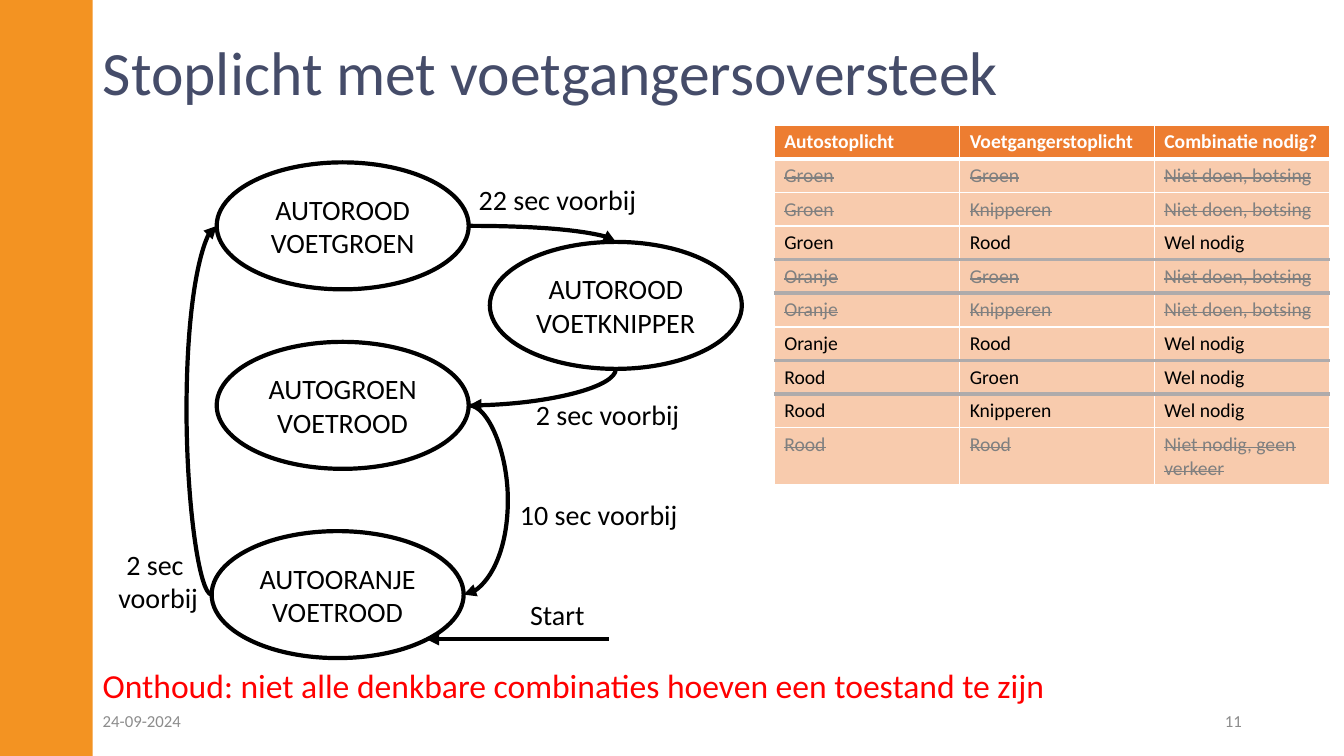
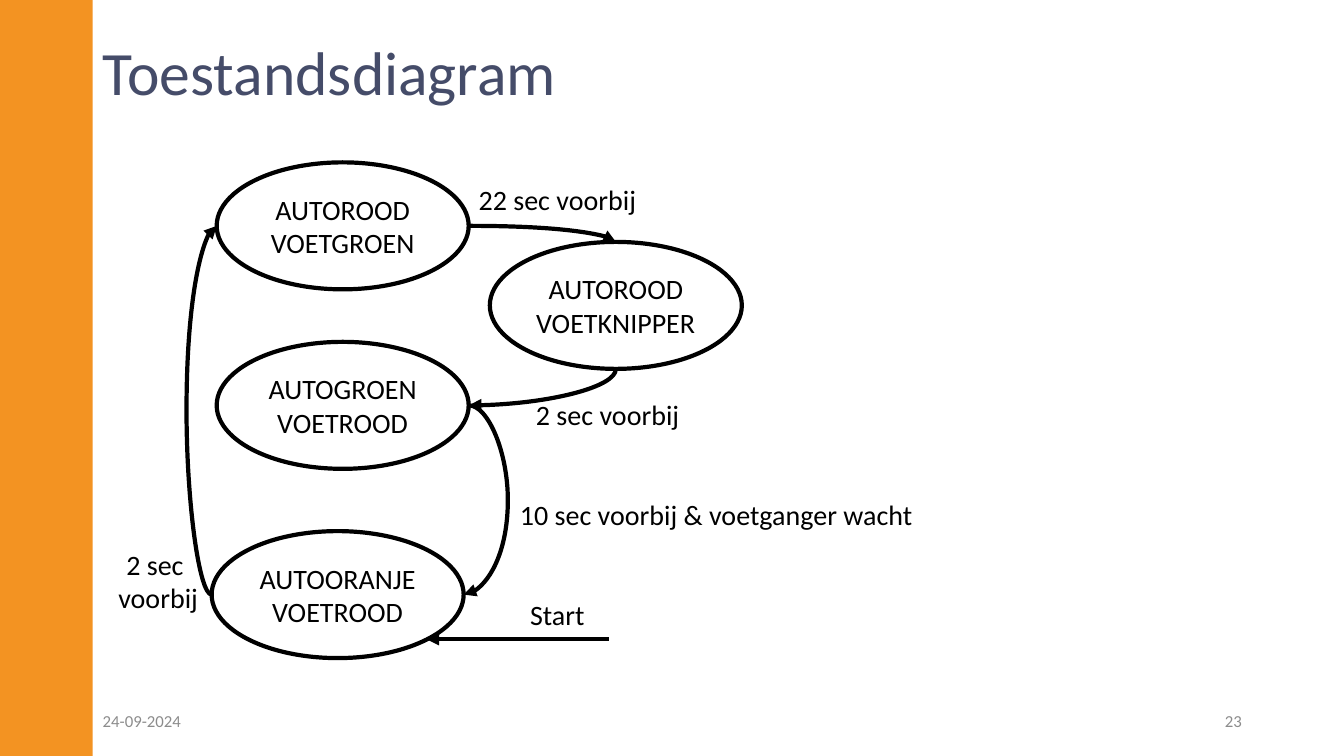
"""Build two slides about the state diagram of a pedestrian traffic light."""

import dataclasses
import math

import lxml.etree
import pptx
import pptx.dml.color
import pptx.enum.shapes
import pptx.enum.text
import pptx.oxml.ns
import pptx.shapes.autoshape
import pptx.shapes.connector
import pptx.slide
import pptx.table
import pptx.text.text
import pptx.util

Pt = pptx.util.Pt
RGBColor = pptx.dml.color.RGBColor
Align = pptx.enum.text.PP_ALIGN
Anchor = pptx.enum.text.MSO_ANCHOR
ShapeKind = pptx.enum.shapes.MSO_SHAPE
ConnectorKind = pptx.enum.shapes.MSO_CONNECTOR
qn = pptx.oxml.ns.qn

FONT = "Calibri"
BLACK = RGBColor(0x00, 0x00, 0x00)
WHITE = RGBColor(0xFF, 0xFF, 0xFF)
RED = RGBColor(0xFF, 0x00, 0x00)
BAND = RGBColor(0xF3, 0x93, 0x22)
TITLE = RGBColor(0x45, 0x4C, 0x69)
FOOTER = RGBColor(0x8C, 0x8C, 0x8C)
HEADER_FILL = RGBColor(0xED, 0x7D, 0x31)
BODY_FILL = RGBColor(0xF8, 0xCB, 0xAD)
STRUCK = RGBColor(0x80, 0x80, 0x80)
DIVIDER = RGBColor(0xAF, 0xAB, 0xAB)

SLIDE_WIDTH, SLIDE_HEIGHT = 960, 540
MARGIN = 66.25
STATE_WIDTH, STATE_HEIGHT = 180, 90.7
LINE_WIDTH = 3
TABLE_LEFT, TABLE_TOP = 553, 89.3
COLUMN_WIDTHS = (132.5, 139, 125.3)
ROW_HEIGHT = 24
NEEDED = "Wel nodig"
CRASH = "Niet doen, botsing"
COMBINATIONS = (
    ("Autostoplicht", "Voetgangerstoplicht", "Combinatie nodig?"),
    ("Groen", "Groen", CRASH),
    ("Groen", "Knipperen", CRASH),
    ("Groen", "Rood", NEEDED),
    ("Oranje", "Groen", CRASH),
    ("Oranje", "Knipperen", CRASH),
    ("Oranje", "Rood", NEEDED),
    ("Rood", "Groen", NEEDED),
    ("Rood", "Knipperen", NEEDED),
    ("Rood", "Rood", "Niet nodig, geen verkeer"),
)
DIVIDED_ROWS = (3, 4, 6, 7)


@dataclasses.dataclass(frozen=True)
class State:
    """An ellipse that stands for one state."""

    lines: tuple[str, ...]
    left: float
    top: float

    def site(self, index: int) -> tuple[float, float]:
        """Return the point of an ellipse connection site."""
        angle = math.radians(-90 - 45 * index)
        return (
            self.left + STATE_WIDTH / 2 * (1 + math.cos(angle)),
            self.top + STATE_HEIGHT / 2 * (1 + math.sin(angle)),
        )


@dataclasses.dataclass(frozen=True)
class Transition:
    """A curved arrow between the connection sites of two states."""

    source: str
    source_site: int
    target: str
    target_site: int
    preset: str
    rotation: int = 0
    bulge: float = 0


@dataclasses.dataclass(frozen=True)
class Label:
    """Free text with its place and style."""

    lines: tuple[str, ...]
    left: float
    top: float
    width: float
    height: float
    size: float = 20
    color: RGBColor = BLACK
    align: Align = Align.LEFT
    anchor: Anchor = Anchor.TOP
    wrap: bool = False


TOP_SITE, LEFT_SITE, BOTTOM_SITE, RIGHT_SITE = 0, 2, 4, 6
STATES = {
    "walk": State(("AUTOROOD", "VOETGROEN"), 154.8, 116),
    "drive": State(("AUTOGROEN", "VOETROOD"), 154.8, 244.2),
    "amber": State(("AUTOORANJE", "VOETROOD"), 151.2, 379.4),
    "blink": State(("AUTOROOD", "VOETKNIPPER"), 349.9, 172.8),
}
TRANSITIONS = (
    Transition("drive", RIGHT_SITE, "amber", RIGHT_SITE, "curvedConnector3", 0, 28),
    Transition("walk", RIGHT_SITE, "blink", TOP_SITE, "curvedConnector2"),
    Transition("amber", LEFT_SITE, "walk", LEFT_SITE, "curvedConnector3", 180, 18),
    Transition("blink", BOTTOM_SITE, "drive", RIGHT_SITE, "curvedConnector2", 90),
)
LABELS = (
    Label(("22 sec voorbij",), 334.8, 126.7, 128.2, 31.5),
    Label(("2 sec ", "voorbij"), 77, 387.4, 72, 55.7, align=Align.CENTER),
    Label(("Start",), 371.5, 423.4, 54, 31.5),
    Label(("2 sec voorbij",), 375.8, 280.1, 118.1, 31.5),
)
REMINDER = Label(
    ("Onthoud: niet alle denkbare combinaties hoeven een toestand te zijn",),
    MARGIN, 471.6, 893.75, 36, size=24, color=RED, wrap=True,
)


def add_lines(
    frame: pptx.text.text.TextFrame,
    lines: tuple[str, ...],
    size: float,
    color: RGBColor,
    align: Align = Align.LEFT,
) -> None:
    """Write each line as a paragraph with one formatted run."""
    for index, line in enumerate(lines):
        paragraph = frame.add_paragraph() if index else frame.paragraphs[0]
        paragraph.alignment = align
        run = paragraph.add_run()
        run.text = line
        run.font.name = FONT
        run.font.size = Pt(size)
        run.font.color.rgb = color


def add_label(slide: pptx.slide.Slide, label: Label) -> None:
    """Add a text box for a label."""
    box = slide.shapes.add_textbox(
        Pt(label.left), Pt(label.top), Pt(label.width), Pt(label.height)
    )
    frame = box.text_frame
    frame.word_wrap = label.wrap
    frame.vertical_anchor = label.anchor
    add_lines(frame, label.lines, label.size, label.color, label.align)


def add_state(slide: pptx.slide.Slide, state: State) -> pptx.shapes.autoshape.Shape:
    """Add the ellipse of a state."""
    shape = slide.shapes.add_shape(
        ShapeKind.OVAL, Pt(state.left), Pt(state.top), Pt(STATE_WIDTH), Pt(STATE_HEIGHT)
    )
    shape.shadow.inherit = False
    shape.fill.background()
    shape.line.color.rgb = BLACK
    shape.line.width = Pt(LINE_WIDTH)
    frame = shape.text_frame
    frame.margin_left = frame.margin_right = frame.margin_top = frame.margin_bottom = 0
    frame.vertical_anchor = Anchor.MIDDLE
    add_lines(frame, state.lines, 20, BLACK, Align.CENTER)
    return shape


def add_arrow(
    slide: pptx.slide.Slide,
    kind: ConnectorKind,
    begin: tuple[float, float],
    end: tuple[float, float],
) -> pptx.shapes.connector.Connector:
    """Add a connector with a triangle at its end."""
    connector = slide.shapes.add_connector(kind, *(Pt(value) for value in begin + end))
    connector.line.color.rgb = BLACK
    connector.line.width = Pt(LINE_WIDTH)
    properties = connector.element.spPr
    lxml.etree.SubElement(properties.find(qn("a:ln")), qn("a:tailEnd"), type="triangle")
    lxml.etree.SubElement(properties, qn("a:effectLst"))
    return connector


def add_transition(
    slide: pptx.slide.Slide,
    transition: Transition,
    shapes: dict[str, pptx.shapes.autoshape.Shape],
) -> None:
    """Add a curved arrow joined to its two states."""
    start = STATES[transition.source].site(transition.source_site)
    stop = STATES[transition.target].site(transition.target_site)
    center_x, center_y = (start[0] + stop[0]) / 2, (start[1] + stop[1]) / 2
    angle = math.radians(transition.rotation)
    dx, dy = start[0] - center_x, start[1] - center_y
    turned_x = dx * math.cos(angle) + dy * math.sin(angle)
    turned_y = dy * math.cos(angle) - dx * math.sin(angle)
    connector = add_arrow(
        slide,
        ConnectorKind.CURVE,
        (center_x + turned_x, center_y + turned_y),
        (center_x - turned_x, center_y - turned_y),
    )
    connector.rotation = transition.rotation
    geometry = connector.element.spPr.find(qn("a:prstGeom"))
    geometry.set("prst", transition.preset)
    if transition.bulge:
        ratio = -transition.bulge / abs(2 * turned_x)
        lxml.etree.SubElement(
            geometry.find(qn("a:avLst")), qn("a:gd"),
            name="adj1", fmla=f"val {round(ratio * 100000)}",
        )
    joints = next(connector.element.iter(qn("p:cNvCxnSpPr")))
    for tag, state, site in (
        ("a:stCxn", transition.source, transition.source_site),
        ("a:endCxn", transition.target, transition.target_site),
    ):
        lxml.etree.SubElement(
            joints, qn(tag), id=str(shapes[state].shape_id), idx=str(site)
        )


def add_diagram(slide: pptx.slide.Slide, waiting_label: Label) -> None:
    """Add the states, transitions and labels of the diagram."""
    shapes = {name: add_state(slide, state) for name, state in STATES.items()}
    for transition in TRANSITIONS:
        add_transition(slide, transition, shapes)
    add_arrow(slide, ConnectorKind.STRAIGHT, (434.9, 456.5), (304.6, 456.5))
    for label in LABELS + (waiting_label,):
        add_label(slide, label)


def set_border(cell: pptx.table._Cell, edge: str, color: RGBColor, width: float) -> None:
    """Draw one edge of a table cell."""
    properties = cell._tc.get_or_add_tcPr()
    line = lxml.etree.SubElement(properties, qn(f"a:ln{edge}"), w=str(Pt(width)))
    fill = lxml.etree.SubElement(line, qn("a:solidFill"))
    lxml.etree.SubElement(fill, qn("a:srgbClr"), val=str(color))


def border_below(row: int) -> tuple[RGBColor, float]:
    """Return the colour and width of the line under a row."""
    if row in DIVIDED_ROWS:
        return DIVIDER, 3
    return WHITE, 3 if row == 0 else 1


def add_combinations(slide: pptx.slide.Slide) -> None:
    """Add the table of light combinations."""
    count = len(COMBINATIONS)
    table = slide.shapes.add_table(
        count, len(COLUMN_WIDTHS), Pt(TABLE_LEFT), Pt(TABLE_TOP),
        Pt(sum(COLUMN_WIDTHS)), Pt(ROW_HEIGHT * count),
    ).table
    table.first_row = table.horz_banding = False
    for column, width in zip(table.columns, COLUMN_WIDTHS):
        column.width = Pt(width)
    for row, values in enumerate(COMBINATIONS):
        table.rows[row].height = Pt(ROW_HEIGHT)
        header = row == 0
        struck = not header and values[-1] != NEEDED
        color = WHITE if header else STRUCK if struck else BLACK
        for column, value in enumerate(values):
            cell = table.cell(row, column)
            set_border(cell, "L", WHITE, 1)
            set_border(cell, "R", WHITE, 1)
            set_border(cell, "T", *border_below(row - 1))
            set_border(cell, "B", *border_below(row))
            cell.fill.solid()
            cell.fill.fore_color.rgb = HEADER_FILL if header else BODY_FILL
            add_lines(cell.text_frame, (value,), 14, color)
            run = cell.text_frame.paragraphs[0].runs[0]
            run.font.bold = header
            if struck:
                run._r.get_or_add_rPr().set("strike", "sngStrike")


def add_base_slide(
    presentation: pptx.presentation.Presentation, title: str, number: str
) -> pptx.slide.Slide:
    """Add a slide with the shared band, title and footers."""
    slide = presentation.slides.add_slide(presentation.slide_layouts[5])
    band = slide.shapes.add_shape(ShapeKind.RECTANGLE, 0, 0, Pt(MARGIN), Pt(SLIDE_HEIGHT))
    band.shadow.inherit = False
    band.fill.solid()
    band.fill.fore_color.rgb = BAND
    band.line.fill.background()
    holder = slide.shapes.title
    holder.left, holder.top, holder.width, holder.height = map(Pt, (MARGIN, 23, 828, 62))
    holder.text_frame.vertical_anchor = Anchor.MIDDLE
    add_lines(holder.text_frame, (title,), 44, TITLE)
    holder.text_frame.paragraphs[0].line_spacing = 0.9
    for text, left, align in (
        ("24-09-2024", MARGIN, Align.LEFT), (number, 678.25, Align.RIGHT)
    ):
        add_label(slide, Label(
            (text,), left, 500.5, 216, 28.8, 12, FOOTER, align, Anchor.MIDDLE, True
        ))
    return slide


def main() -> None:
    """Build and save the presentation."""
    presentation = pptx.Presentation()
    presentation.slide_width, presentation.slide_height = Pt(SLIDE_WIDTH), Pt(SLIDE_HEIGHT)
    slide = add_base_slide(presentation, "Stoplicht met voetgangersoversteek", "11")
    add_label(slide, REMINDER)
    add_diagram(slide, Label(("10 sec voorbij",), 364.3, 352.1, 128.2, 31.5))
    add_combinations(slide)
    slide = add_base_slide(presentation, "Toestandsdiagram", "23")
    add_diagram(
        slide, Label(("10 sec voorbij & voetganger wacht",), 364.3, 352.1, 297.4, 31.5)
    )
    presentation.save("out.pptx")


if __name__ == "__main__":
    main()
